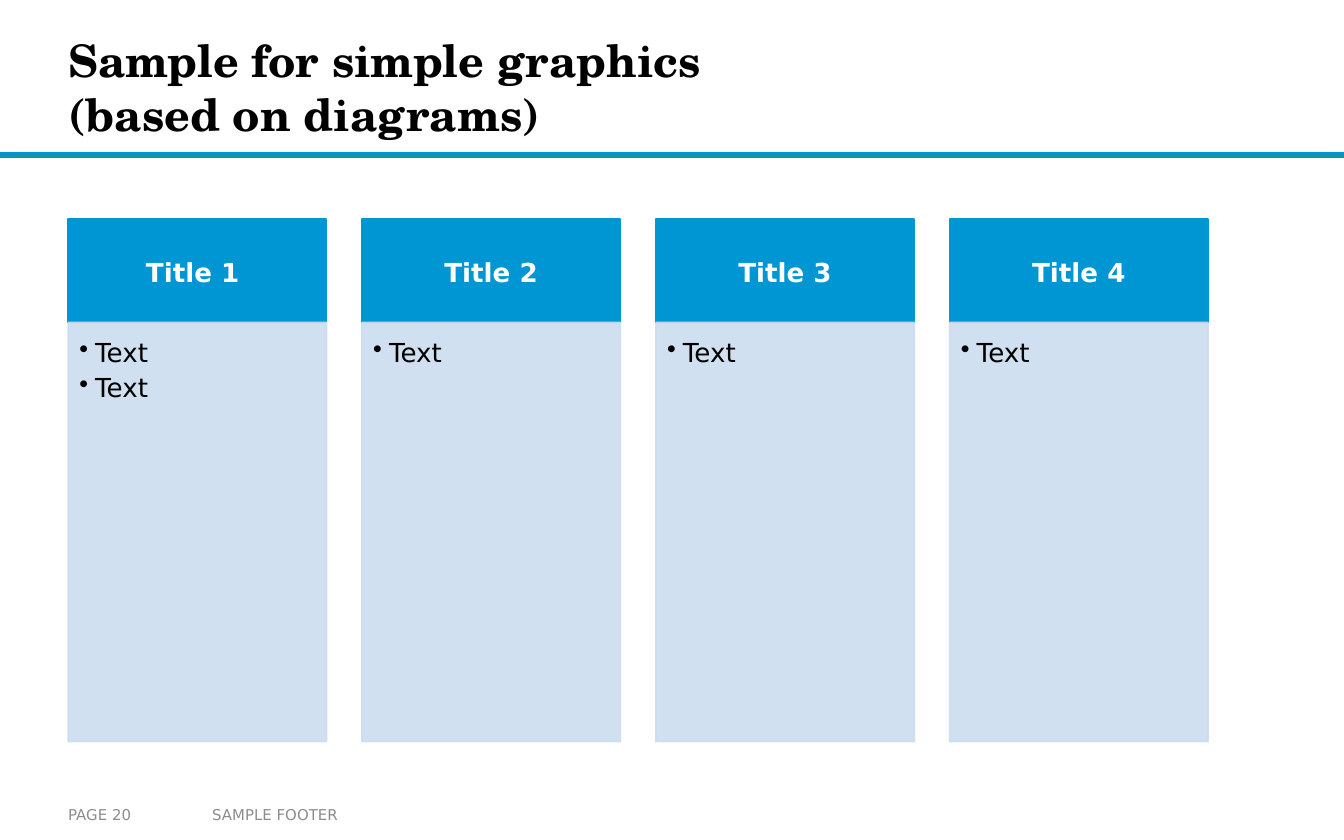
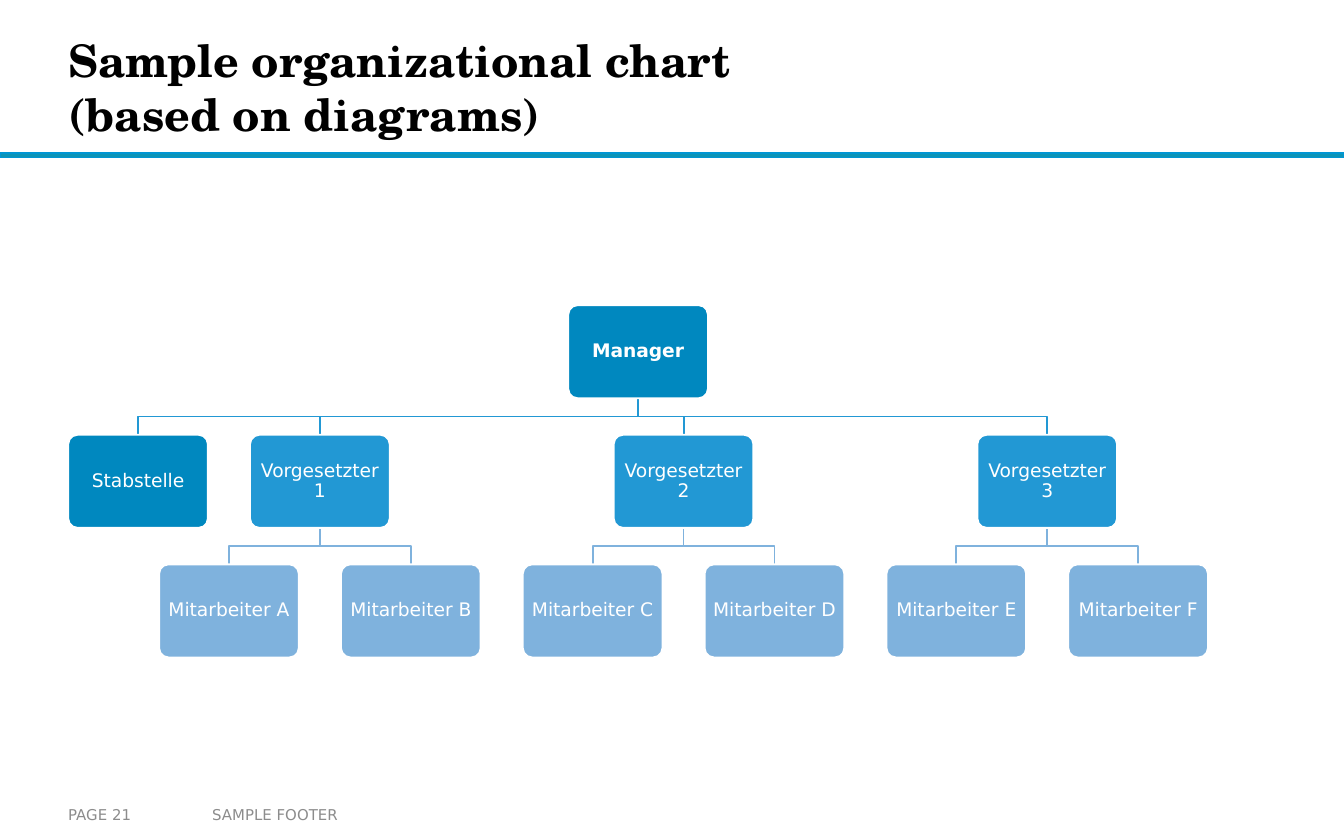
from copy import deepcopy
from dataclasses import dataclass
from typing import NamedTuple

from lxml.etree import SubElement
from pptx import Presentation
from pptx.dml.color import RGBColor
from pptx.enum.shapes import MSO_SHAPE as Preset
from pptx.enum.text import MSO_ANCHOR as Anchor, MSO_AUTO_SIZE as AutoSize, PP_ALIGN as Align
from pptx.oxml.ns import qn
from pptx.shapes.autoshape import Shape
from pptx.slide import Slide
from pptx.text.text import TextFrame
from pptx.util import Cm, Pt


@dataclass(frozen=True)
class Theme:
    black: str = "000000"
    white: str = "FFFFFF"
    grey: str = "8C8C8C"
    rule: str = "0C94B7"
    accent: str = "0096D3"
    pale: str = "CCDDEF"
    top: str = "0088BF"
    middle: str = "2298D4"
    base: str = "7FB2DD"
    heading_font: str = "TeX Gyre Schola"
    body_font: str = "DejaVu Sans"
    heading_size: int = 24
    column_size: int = 14
    chart_size: int = 10
    footer_size: int = 8
    line_width: int = 1


class Area(NamedTuple):
    left: float
    top: float
    width: float
    height: float


class Insets(NamedTuple):
    left: float = 0
    top: float = 0
    right: float = 0
    bottom: float = 0


class Column(NamedTuple):
    title: str
    points: tuple[str, ...]


class Position(NamedTuple):
    label: str
    slot: float
    row: int
    color: str
    bold: bool = False


class Team(NamedTuple):
    lead: str
    members: tuple[str, ...]


THEME = Theme()
SLIDE_WIDTH, SLIDE_HEIGHT = 25.4, 15.88
MARGIN = 1.29
CONTENT_WIDTH = 21.54

COLUMN_TOP = 4.14
COLUMN_WIDTH = 4.88
HEADER_HEIGHT = 1.96
BODY_HEIGHT = 7.92
BULLET_INDENT = 0.3
PALE_OPACITY = 90

CHART_TOP = 5.77
BOX_WIDTH, BOX_HEIGHT = 2.64, 1.76
ROW_STEP = 2.45
LAST_SLOT = 11
SLOT_STEP = (CONTENT_WIDTH - BOX_WIDTH) / LAST_SLOT

COLUMNS = (
    Column("Title 1 ", ("Text", "Text")),
    Column("Title 2", ("Text",)),
    Column("Title 3", ("Text",)),
    Column("Title 4", ("Text",)),
)
TEAMS = (
    Team("Vorgesetzter 1", ("Mitarbeiter A", "Mitarbeiter B")),
    Team("Vorgesetzter 2", ("Mitarbeiter C", "Mitarbeiter D")),
    Team("Vorgesetzter 3", ("Mitarbeiter E", "Mitarbeiter F")),
)


def write(
    frame: TextFrame,
    *lines: str,
    size: int,
    color: str,
    font: str = THEME.body_font,
    bold: bool = False,
    align: Align = Align.LEFT,
    anchor: Anchor = Anchor.MIDDLE,
    insets: Insets = Insets(),
    spacing: float = 1.0,
    bullet: str = "",
) -> None:
    frame.word_wrap = True
    frame.auto_size = AutoSize.NONE
    frame.vertical_anchor = anchor
    frame.margin_left, frame.margin_top, frame.margin_right, frame.margin_bottom = map(Cm, insets)
    for index, line in enumerate(lines):
        paragraph = frame.add_paragraph() if index else frame.paragraphs[0]
        paragraph.text = line
        paragraph.alignment = align
        paragraph.line_spacing = spacing
        if bullet:
            paragraph.level = 1
            properties = paragraph._p.get_or_add_pPr()
            properties.set("marL", str(Cm(BULLET_INDENT)))
            properties.set("indent", str(-Cm(BULLET_INDENT)))
            SubElement(properties, qn("a:buChar"), char=bullet)
        for run in paragraph.runs:
            run.font.name = font
            run.font.size = Pt(size)
            run.font.bold = bold
            run.font.color.rgb = RGBColor.from_string(color)
        for line_break in paragraph._p.findall(qn("a:br")):
            line_break.append(deepcopy(paragraph.runs[0]._r.rPr))


def outline(shape: Shape, color: str) -> None:
    shape.shadow.inherit = False
    shape.line.color.rgb = RGBColor.from_string(color)
    shape.line.width = Pt(THEME.line_width)


def add_box(
    slide: Slide, area: Area, fill: str, line: str, preset: Preset = Preset.RECTANGLE
) -> Shape:
    box = slide.shapes.add_shape(preset, *map(Cm, area))
    box.fill.solid()
    box.fill.fore_color.rgb = RGBColor.from_string(fill)
    outline(box, line)
    return box


def set_opacity(shape: Shape, percent: int) -> None:
    for color in list(shape._element.spPr.iter(qn("a:srgbClr"))):
        SubElement(color, qn("a:alpha"), val=str(percent * 1000))


def add_footer(slide: Slide, text: str, area: Area, side_inset: float) -> None:
    footer = slide.shapes.add_textbox(*map(Cm, area))
    write(footer.text_frame, text, size=THEME.footer_size, color=THEME.grey,
          insets=Insets(side_inset, 0.13, side_inset, 0.13))


def start_slide(deck: Presentation, title: str, page: int) -> Slide:
    slide = deck.slides.add_slide(deck.slide_layouts[5])
    add_box(slide, Area(0, 2.9, SLIDE_WIDTH, 0.08), THEME.rule, THEME.accent)
    heading = slide.shapes.title
    heading.left, heading.top, heading.width, heading.height = map(Cm, (MARGIN, 0.38, 19, 2.51))
    write(heading.text_frame, title, size=THEME.heading_size, color=THEME.black,
          font=THEME.heading_font, bold=True)
    add_footer(slide, "SAMPLE FOOTER", Area(3.76, 15.04, 8.94, 0.71), 0.25)
    add_footer(slide, f"PAGE {page}", Area(MARGIN, 15.04, 2.49, 0.71), 0)
    return slide


def add_column(slide: Slide, column: Column, left: float) -> None:
    header = add_box(slide, Area(left, COLUMN_TOP, COLUMN_WIDTH, HEADER_HEIGHT),
                     THEME.accent, THEME.accent)
    write(header.text_frame, column.title, size=THEME.column_size, color=THEME.white,
          bold=True, align=Align.CENTER, insets=Insets(0.28, 0.16, 0.28, 0.16), spacing=1.1)
    body = add_box(slide, Area(left, COLUMN_TOP + HEADER_HEIGHT, COLUMN_WIDTH, BODY_HEIGHT),
                   THEME.pale, THEME.pale)
    set_opacity(body, PALE_OPACITY)
    write(body.text_frame, *column.points, size=THEME.column_size, color=THEME.black,
          anchor=Anchor.TOP, insets=Insets(0.21, 0.21, 0.28, 0.32), spacing=1.1, bullet="•")


def box_area(position: Position) -> Area:
    return Area(MARGIN + position.slot * SLOT_STEP, CHART_TOP + position.row * ROW_STEP,
                BOX_WIDTH, BOX_HEIGHT)


def add_position(slide: Slide, position: Position) -> None:
    box = add_box(slide, box_area(position), position.color, THEME.white,
                  Preset.ROUNDED_RECTANGLE)
    box.adjustments[0] = 0.1
    write(box.text_frame, position.label, size=THEME.chart_size, color=THEME.white,
          bold=position.bold, align=Align.CENTER, insets=Insets(0.1, 0.1, 0.1, 0.1), spacing=0.9)


def add_branch(slide: Slide, upper: Position, lower: Position, color: str) -> None:
    start, end = box_area(upper), box_area(lower)
    start_x, end_x = start.left + BOX_WIDTH / 2, end.left + BOX_WIDTH / 2
    start_y = start.top + BOX_HEIGHT
    bend_y = (start_y + end.top) / 2
    builder = slide.shapes.build_freeform(Cm(start_x), Cm(start_y))
    corners = ((start_x, bend_y), (end_x, bend_y), (end_x, end.top))
    builder.add_line_segments([(Cm(x), Cm(y)) for x, y in corners], close=False)
    branch = builder.convert_to_shape()
    branch.fill.background()
    outline(branch, color)


def build_columns(deck: Presentation) -> None:
    slide = start_slide(deck, "Sample for simple graphics\v(based on diagrams)", 20)
    step = (CONTENT_WIDTH - COLUMN_WIDTH) / (len(COLUMNS) - 1)
    for index, column in enumerate(COLUMNS):
        add_column(slide, column, MARGIN + index * step)


def build_organization(deck: Presentation) -> None:
    slide = start_slide(deck, "Sample organizational chart\v(based on diagrams)", 21)
    manager = Position("Manager", LAST_SLOT / 2, 0, THEME.top, bold=True)
    staff = Position("Stabstelle", 0, 1, THEME.top)
    positions = [manager, staff]
    add_branch(slide, manager, staff, THEME.middle)
    for index, team in enumerate(TEAMS):
        lead = Position(team.lead, 4 * index + 2, 1, THEME.middle)
        members = [Position(name, lead.slot + offset, 2, THEME.base)
                   for name, offset in zip(team.members, (-1, 1))]
        add_branch(slide, manager, lead, THEME.middle)
        for member in members:
            add_branch(slide, lead, member, THEME.base)
        positions += [lead, *members]
    for position in positions:
        add_position(slide, position)


def main() -> None:
    deck = Presentation()
    deck.slide_width, deck.slide_height = Cm(SLIDE_WIDTH), Cm(SLIDE_HEIGHT)
    build_columns(deck)
    build_organization(deck)
    deck.save("out.pptx")


if __name__ == "__main__":
    main()
